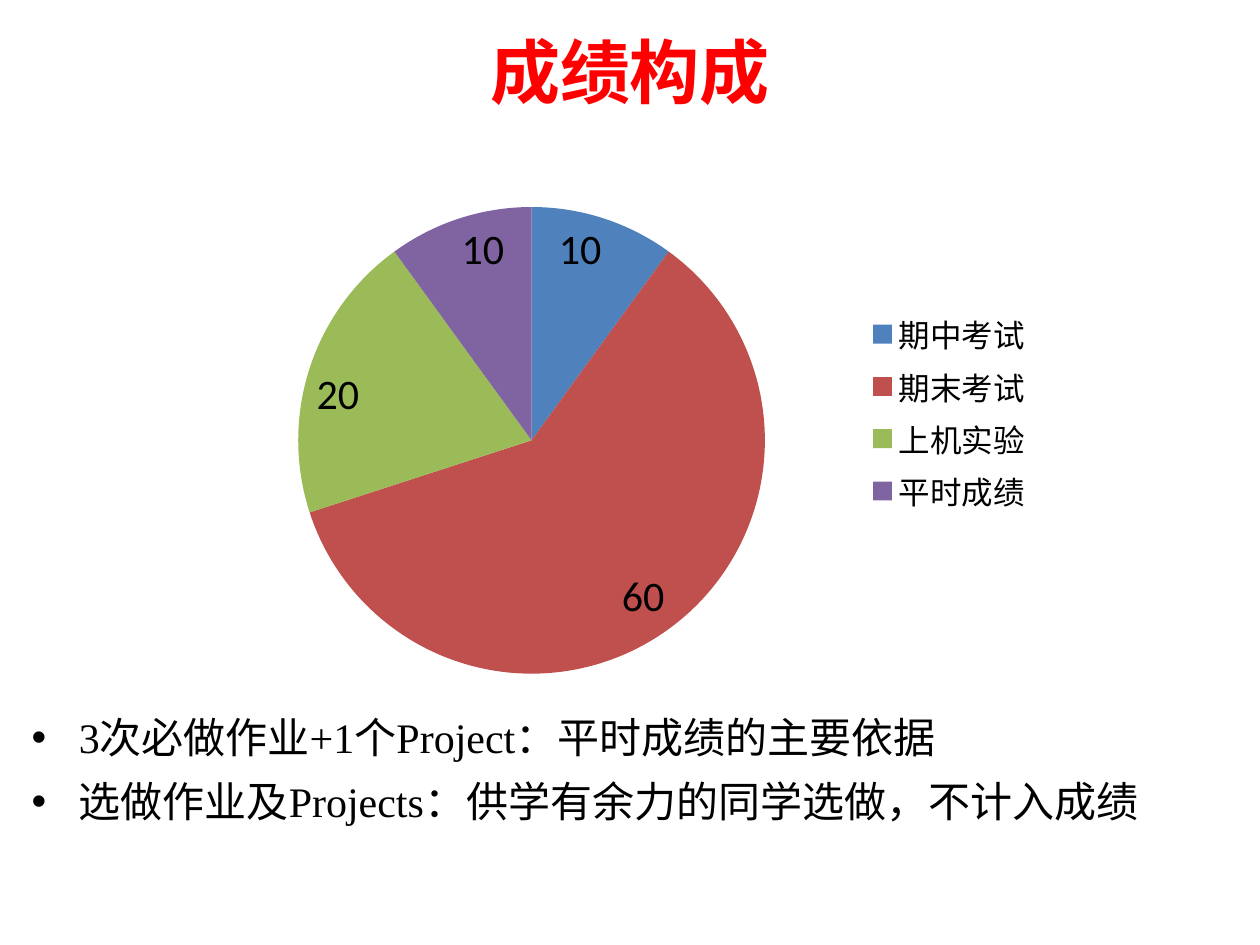
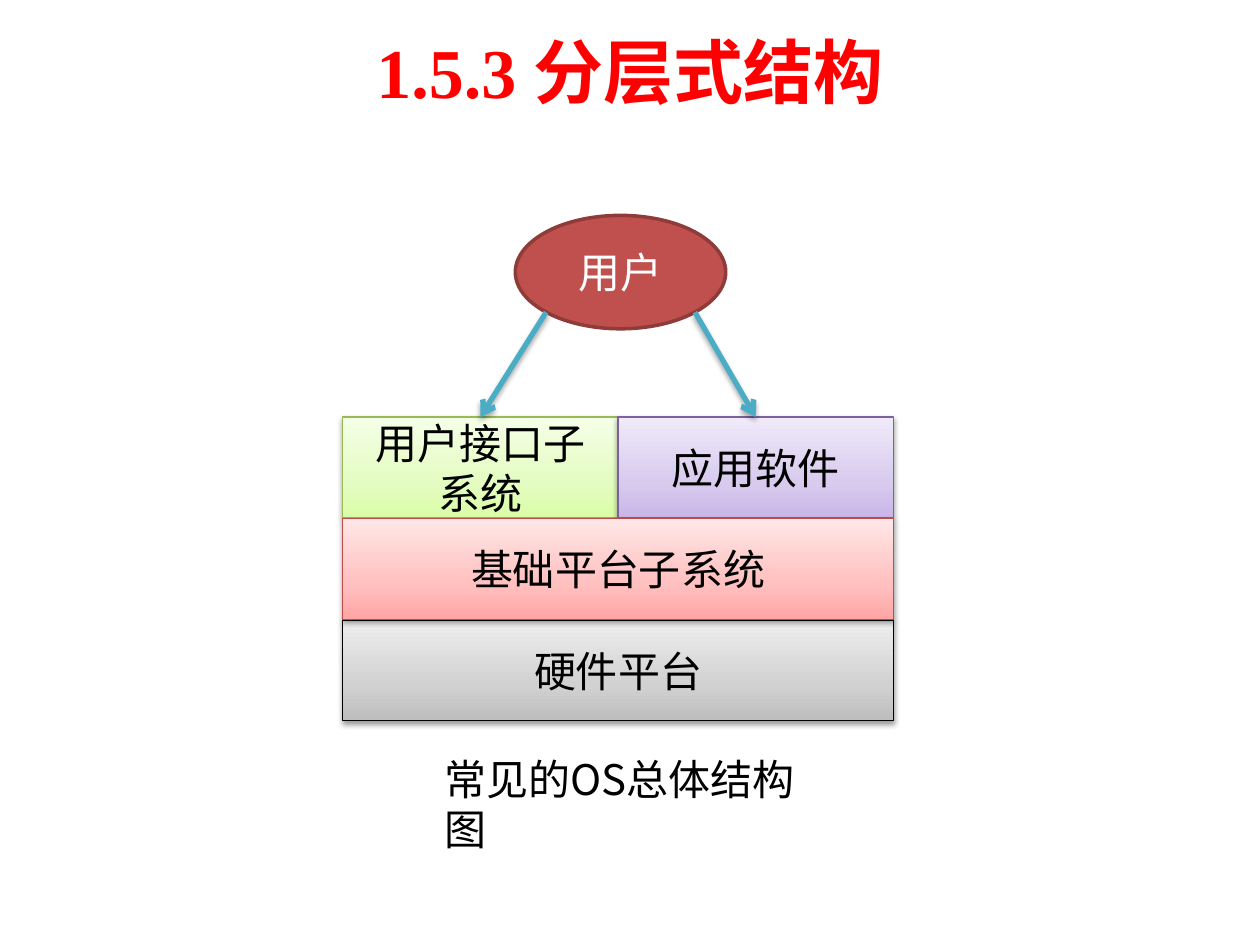
from math import sqrt
from lxml.etree import SubElement as Sub
from pptx import Presentation
from pptx.chart.data import CategoryChartData as Data
from pptx.dml.color import RGBColor as Rgb
from pptx.enum.chart import XL_CHART_TYPE as Kind, XL_LABEL_POSITION as Spot
from pptx.enum.chart import XL_LEGEND_POSITION as Side
from pptx.enum.shapes import MSO_CONNECTOR as Link, MSO_SHAPE as Form
from pptx.enum.text import MSO_ANCHOR as Anchor, MSO_AUTO_SIZE as Fit, PP_ALIGN as Align
from pptx.oxml.ns import qn
from pptx.util import Inches, Pt

COLORS = {
    "title": "FF0000", "text": "000000", "light": "FFFFFF",
    "blue": "4F81BD", "red": "C0504D", "green": "9BBB59", "violet": "8064A2",
    "rim": "8E3B39", "arrow": "4BACC6",
}
LAYERS = {
    "gray": ("000000", "BDBDBD", "D1D1D1", "EEEEEE"),
    "lime": ("98B955", "DAFDA7", "E4FCC2", "F5FFE7"),
    "lilac": ("7D60A0", "C9B5E8", "D8CBEE", "F0EAF9"),
    "rose": ("BF4C48", "FFA6A5", "FFC0BF", "FFE7E7"),
}
SERIF, SANS, HAN = "Times New Roman", "Calibri", "Noto Sans CJK SC"


def color(name):
    return Rgb.from_string(COLORS.get(name, name))


def box(x, y, w, h):
    return [Inches(v) for v in (x, y, w, h)]


class Deck:
    def __init__(self):
        self.prs = Presentation()
        self.prs.slide_width, self.prs.slide_height = Inches(10), Inches(7.5)

    def page(self, layout, title):
        self.slide = self.prs.slides.add_slide(self.prs.slide_layouts[layout])
        self.shapes = self.slide.shapes
        head = self.shapes.title
        self.place(head, 0.5, 0.05, 9, 1.02)
        head.text_frame.vertical_anchor = Anchor.MIDDLE
        para = head.text_frame.paragraphs[0]
        para.alignment = Align.CENTER
        self.run(para, title, SERIF, 40, "title", True)

    def group(self):
        self.shapes = self.slide.shapes.add_group_shape().shapes

    def place(self, shape, *spot):
        shape.left, shape.top, shape.width, shape.height = box(*spot)
        shape.text_frame.auto_size = Fit.NONE

    def run(self, para, text, face=SANS, size=24, tint="text", bold=None):
        run = para.add_run()
        run.text = text
        font = run.font
        font.name, font.size, font.bold = face, Pt(size), bold
        font.color.rgb = color(tint)
        Sub(run._r.get_or_add_rPr(), qn("a:ea"), typeface=HAN)

    def bullets(self, lines, *spot):
        body = self.slide.placeholders[1]
        self.place(body, *spot)
        frame = body.text_frame
        for i, line in enumerate(lines):
            para = frame.add_paragraph() if i else frame.paragraphs[0]
            para.line_spacing = 1.1
            self.run(para, line, SERIF)

    def note(self, text, *spot):
        frame = self.shapes.add_textbox(*box(*spot)).text_frame
        frame.word_wrap = True
        frame.auto_size = Fit.SHAPE_TO_FIT_TEXT
        self.run(frame.paragraphs[0], text, HAN)

    def shadow(self, props, alpha, dist):
        effect = props.find(qn("a:effectLst"))
        if effect is None:
            effect = Sub(props, qn("a:effectLst"))
        outer = Sub(effect, qn("a:outerShdw"), blurRad=str(Pt(3.1)),
                    dist=str(Pt(dist)), dir="5400000", rotWithShape="0")
        tint = Sub(outer, qn("a:srgbClr"), val=COLORS["text"])
        Sub(tint, qn("a:alpha"), val=str(alpha * 1000))

    def shape(self, form, text, spot, edge, width, tint="text"):
        shape = self.shapes.add_shape(form, *box(*spot))
        shape.shadow.inherit = False
        shape.line.color.rgb = color(edge)
        shape.line.width = Pt(width)
        frame = shape.text_frame
        frame.word_wrap = True
        frame.vertical_anchor = Anchor.MIDDLE
        para = frame.paragraphs[0]
        para.alignment = Align.CENTER
        self.run(para, text, tint=tint)
        return shape

    def oval(self, text, *spot):
        shape = self.shape(Form.OVAL, text, spot, "rim", 2, "light")
        shape.fill.solid()
        shape.fill.fore_color.rgb = color("red")

    def layer(self, text, style, *spot):
        edge, *tints = LAYERS[style]
        shape = self.shape(Form.RECTANGLE, text, spot, edge, 0.75)
        shape.fill.gradient()
        shape.fill.gradient_angle = 90
        props = shape._element.spPr
        stops = props.find(".//" + qn("a:gsLst"))
        stops.clear()
        for pos, tint in zip((0, 35, 100), tints):
            stop = Sub(stops, qn("a:gs"), pos=str(pos * 1000))
            Sub(stop, qn("a:srgbClr"), val=tint)
        self.shadow(props, 38, 1.6)

    def arrow(self, x1, y1, x2, y2):
        line = self.shapes.add_connector(Link.STRAIGHT, *box(x1, y1, x2, y2))
        line.line.color.rgb = color("arrow")
        line.line.width = Pt(3)
        Sub(line.line._get_or_add_ln(), qn("a:tailEnd"), type="arrow")
        self.shadow(line._element.spPr, 35, 1.8)

    def pie(self, parts, tints, plot, *spot):
        data = Data()
        data.categories = list(parts)
        data.add_series("Series 1", list(parts.values()))
        chart = self.shapes.add_chart(Kind.PIE, *box(*spot), data).chart
        chart.has_title = False
        chart.font.name, chart.font.size = SANS, Pt(18)
        chart.font.color.rgb = color("text")
        chart.has_legend = True
        chart.legend.position = Side.RIGHT
        chart.legend.include_in_layout = False
        pie = chart.plots[0]
        pie.vary_by_categories = True
        for i, tint in enumerate(tints):
            fill = pie.series[0].points[i].format.fill
            fill.solid()
            fill.fore_color.rgb = color(tint)
        labels = pie.series[0].data_labels
        labels.show_value = True
        labels.position = Spot.INSIDE_END
        labels.font.size = Pt(24)
        self.frame(chart, plot)

    def frame(self, chart, plot):
        area = chart._chartSpace.chart.plotArea
        for old in area.findall(qn("c:layout")):
            area.remove(old)
        layout = Sub(area, qn("c:layout"))
        area.insert(0, layout)
        manual = Sub(layout, qn("c:manualLayout"))
        modes = {"layoutTarget": "inner", "xMode": "edge", "yMode": "edge"}
        for key, val in {**modes, **dict(zip("xywh", plot))}.items():
            Sub(manual, qn("c:" + key), val=str(val))


def grades(deck):
    deck.page(1, "成绩构成")
    parts = {"期中考试": 10, "期末考试": 60, "上机实验": 20, "平时成绩": 10}
    deck.pie(parts, ("blue", "red", "green", "violet"),
             (0.11, 0.13, 0.56, 0.84), 1.61, 1.07, 6.69, 4.41)
    deck.bullets(("3次必做作业+1个Project：平时成绩的主要依据",
                  "选做作业及Projects：供学有余力的同学选做，不计入成绩"),
                 0.15, 5.56, 9.65, 1.1)


def system(deck):
    deck.page(5, "1.5.3 分层式结构")
    deck.note("常见的OS总体结构图", 3.43, 5.93, 3.23, 0.5)
    deck.group()
    left, top, wide, high = 2.72, 3.31, 4.37, 0.8
    half, step = wide / 2, 0.805
    deck.layer("硬件平台", "gray", left, top + 2 * step, wide, high)
    deck.layer("用户接口子系统", "lime", left, top, half, high)
    deck.layer("应用软件", "lilac", left + half, top, half, high)
    deck.layer("基础平台子系统", "rose", left, top + step, wide, high)
    x, y, w, h = 4.09, 1.71, 1.67, 0.9
    deck.oval("用户", x, y, w, h)
    for sign, goal in ((-1, left + half / 2), (1, left + 1.5 * half)):
        deck.arrow(x + w / 2 + sign * w / sqrt(8), y + h / 2 + h / sqrt(8), goal, top)


def main():
    deck = Deck()
    grades(deck)
    system(deck)
    deck.prs.save("out.pptx")


if __name__ == "__main__":
    main()
